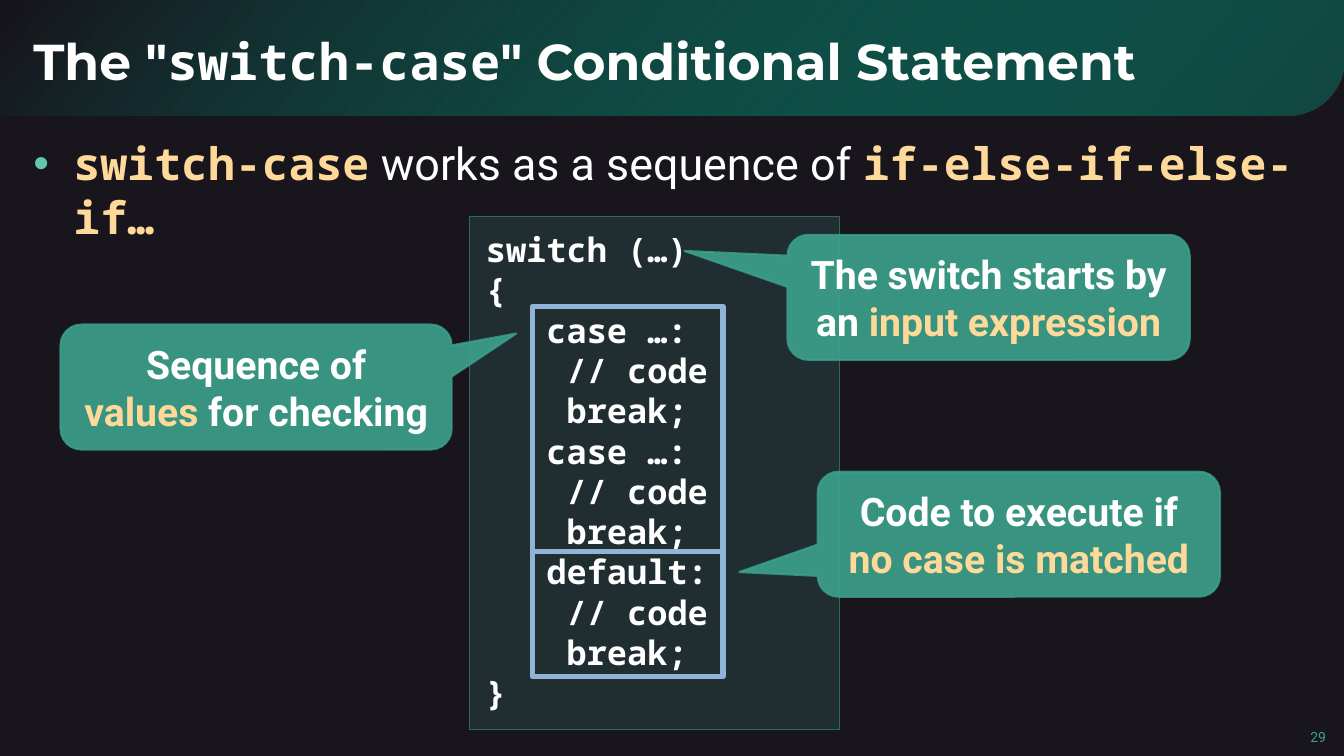
from dataclasses import dataclass
from typing import Optional

from lxml.etree import SubElement
from pptx import Presentation
from pptx.dml.color import RGBColor
from pptx.enum.shapes import MSO_SHAPE
from pptx.enum.text import MSO_ANCHOR, MSO_AUTO_SIZE, PP_ALIGN
from pptx.oxml.ns import qn
from pptx.util import Inches, Pt

COLORS = {
    "background": "18151C",
    "glow": "00BA96",
    "white": "FFFFFF",
    "accent": "FFD999",
    "bullet": "63C5B0",
    "panel": "55BFA9",
    "panel_edge": "286C5D",
    "callout": "3CA28C",
    "frame": "90B4D8",
}
MONO, BODY, HEADING = "Noto Sans Mono", "Roboto", "Montserrat"
CODE = """switch (…)
{
   case …:
    // code
    break;
   case …:
    // code
    break;
   default:
    // code
    break;
}"""


@dataclass
class Words:
    text: str
    size: float = 28
    font: str = BODY
    color: str = "white"
    bold: bool = True
    break_after: bool = False


@dataclass
class Box:
    left: float
    top: float
    width: float
    height: float

    def lengths(self) -> tuple:
        return tuple(Inches(v) for v in (self.left, self.top, self.width, self.height))


@dataclass
class Callout:
    box: Box
    tip: tuple[float, float]
    words: list[Words]


def rgb(name: str) -> RGBColor:
    return RGBColor.from_string(COLORS[name])


def set_alpha(fill_parent, percent: int) -> None:
    color = fill_parent.find(qn("a:solidFill"))[0]
    SubElement(color, qn("a:alpha")).set("val", str(percent * 1000))


def write(paragraph, words: list[Words]) -> None:
    for part in words:
        run = paragraph.add_run()
        run.text = part.text
        run.font.size = Pt(part.size)
        run.font.name = part.font
        run.font.bold = part.bold
        run.font.color.rgb = rgb(part.color)
        if part.break_after:
            paragraph.add_line_break()


def prepare_frame(shape, anchor=MSO_ANCHOR.TOP, inset_x: float = 0.1, inset_y: float = 0.05):
    frame = shape.text_frame
    frame.word_wrap = True
    frame.vertical_anchor = anchor
    frame.margin_left = frame.margin_right = Inches(inset_x)
    frame.margin_top = frame.margin_bottom = Inches(inset_y)
    return frame


def add_text(slide, box: Box, words: list[Words], anchor, align=PP_ALIGN.LEFT,
             inset_x: float = 0.12, inset_y: float = 0.04, bullet: Optional[str] = None) -> None:
    frame = prepare_frame(slide.shapes.add_textbox(*box.lengths()), anchor, inset_x, inset_y)
    paragraph = frame.paragraphs[0]
    paragraph.alignment = align
    if bullet:
        paragraph.space_after = Pt(6)
        properties = paragraph._p.get_or_add_pPr()
        properties.set("marL", str(Inches(0.4)))
        properties.set("indent", str(Inches(-0.4)))
        tint = SubElement(properties, qn("a:buClr"))
        SubElement(tint, qn("a:srgbClr")).set("val", COLORS["bullet"])
        SubElement(properties, qn("a:buFont")).set("typeface", "Arial")
        SubElement(properties, qn("a:buChar")).set("char", bullet)
    write(paragraph, words)


def add_panel(slide, kind, box: Box, fill: Optional[str], alpha: int, edge: str, weight: float):
    shape = slide.shapes.add_shape(kind, *box.lengths())
    shape.shadow.inherit = False
    if fill:
        shape.fill.solid()
        shape.fill.fore_color.rgb = rgb(fill)
        set_alpha(shape._element.spPr, alpha)
    else:
        shape.fill.background()
    shape.line.color.rgb = rgb(edge)
    shape.line.width = Pt(weight)
    return shape


def add_header(slide) -> None:
    header = slide.shapes.add_shape(
        MSO_SHAPE.ROUND_1_RECTANGLE, *Box(0, 0, 13.33, 1.15).lengths())
    header.shadow.inherit = False
    header.adjustments[0] = 0.5
    header._element.spPr.find(qn("a:xfrm")).set("flipV", "1")
    header.line.fill.background()
    header.fill.gradient()
    header.fill.gradient_angle = 360 - 140
    for stop, name, position in zip(header.fill.gradient_stops, ("glow", "background"), (0, 1)):
        stop.color.rgb = rgb(name)
        stop.position = position
    glow = header._element.spPr.find(".//" + qn("a:srgbClr"))
    SubElement(glow, qn("a:alpha")).set("val", "30000")


def add_code(slide, box: Box) -> None:
    panel = add_panel(slide, MSO_SHAPE.RECTANGLE, box, "panel", 15, "panel_edge", 1)
    frame = prepare_frame(panel, inset_x=0.16, inset_y=0.12)
    frame.auto_size = MSO_AUTO_SIZE.SHAPE_TO_FIT_TEXT
    for index, line in enumerate(CODE.splitlines()):
        paragraph = frame.add_paragraph() if index else frame.paragraphs[0]
        paragraph.alignment = PP_ALIGN.LEFT
        write(paragraph, [Words(line, 24, MONO)])


def add_callout(slide, callout: Callout) -> None:
    bubble = add_panel(slide, MSO_SHAPE.ROUNDED_RECTANGULAR_CALLOUT, callout.box,
                       "callout", 90, "callout", 1.5)
    set_alpha(bubble._element.spPr.find(qn("a:ln")), 80)
    for index, value in enumerate((*callout.tip, 0.167)):
        bubble.adjustments[index] = value
    paragraph = prepare_frame(bubble, MSO_ANCHOR.MIDDLE).paragraphs[0]
    paragraph.alignment = PP_ALIGN.CENTER
    write(paragraph, callout.words)


CALLOUTS = [
    Callout(Box(7.81, 2.33, 3.99, 1.24), (-0.756, -0.371),
            [Words("The switch starts by an "), Words("input expression", color="accent")]),
    Callout(Box(0.6, 3.22, 3.88, 1.24), (0.665, -0.428),
            [Words("Sequence of", break_after=True), Words("values", color="accent"),
             Words(" for checking")]),
    Callout(Box(8.11, 4.68, 3.99, 1.24), (-0.695, 0.303),
            [Words("Code to execute if "), Words("no case is matched", color="accent")]),
]
CODE_FRAMES = [Box(5.28, 3.04, 1.89, 2.43), Box(5.28, 5.47, 1.89, 1.24)]


def main() -> None:
    deck = Presentation()
    deck.slide_width, deck.slide_height = Inches(13.33), Inches(7.5)
    slide = deck.slides.add_slide(deck.slide_layouts[6])
    slide.background.fill.solid()
    slide.background.fill.fore_color.rgb = rgb("background")

    add_header(slide)
    add_text(slide, Box(0.21, 1.31, 12.91, 6.08), [
        Words("switch-case", 32, MONO, "accent"),
        Words(" works as a sequence of ", 32, bold=False),
        Words("if-else-if-else-if…", 32, MONO, "accent"),
    ], MSO_ANCHOR.TOP, bullet="•")
    add_text(slide, Box(0.21, 0.11, 11.81, 0.97), [
        Words('The "', 36, HEADING),
        Words("switch-case", 36, MONO),
        Words('" Conditional Statement', 36, HEADING),
    ], MSO_ANCHOR.MIDDLE)
    add_code(slide, Box(4.66, 2.15, 3.67, 5.09))
    for box in CODE_FRAMES:
        add_panel(slide, MSO_SHAPE.RECTANGLE, box, None, 100, "frame", 4)
    for callout in CALLOUTS:
        add_callout(slide, callout)
    add_text(slide, Box(12.85, 7.12, 0.4, 0.32), [Words("29", 10, color="callout", bold=False)],
             MSO_ANCHOR.BOTTOM, PP_ALIGN.RIGHT, 0.1, 0.05)
    deck.save("out.pptx")


if __name__ == "__main__":
    main()
